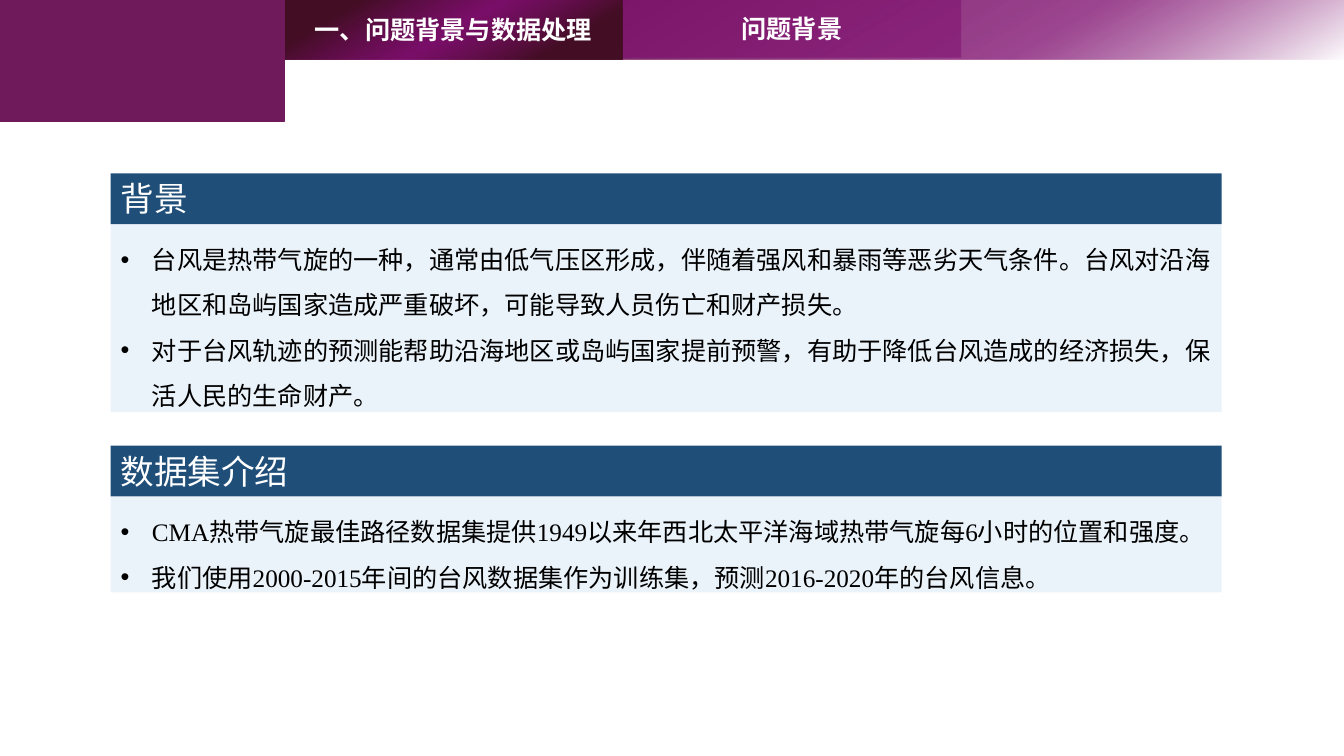
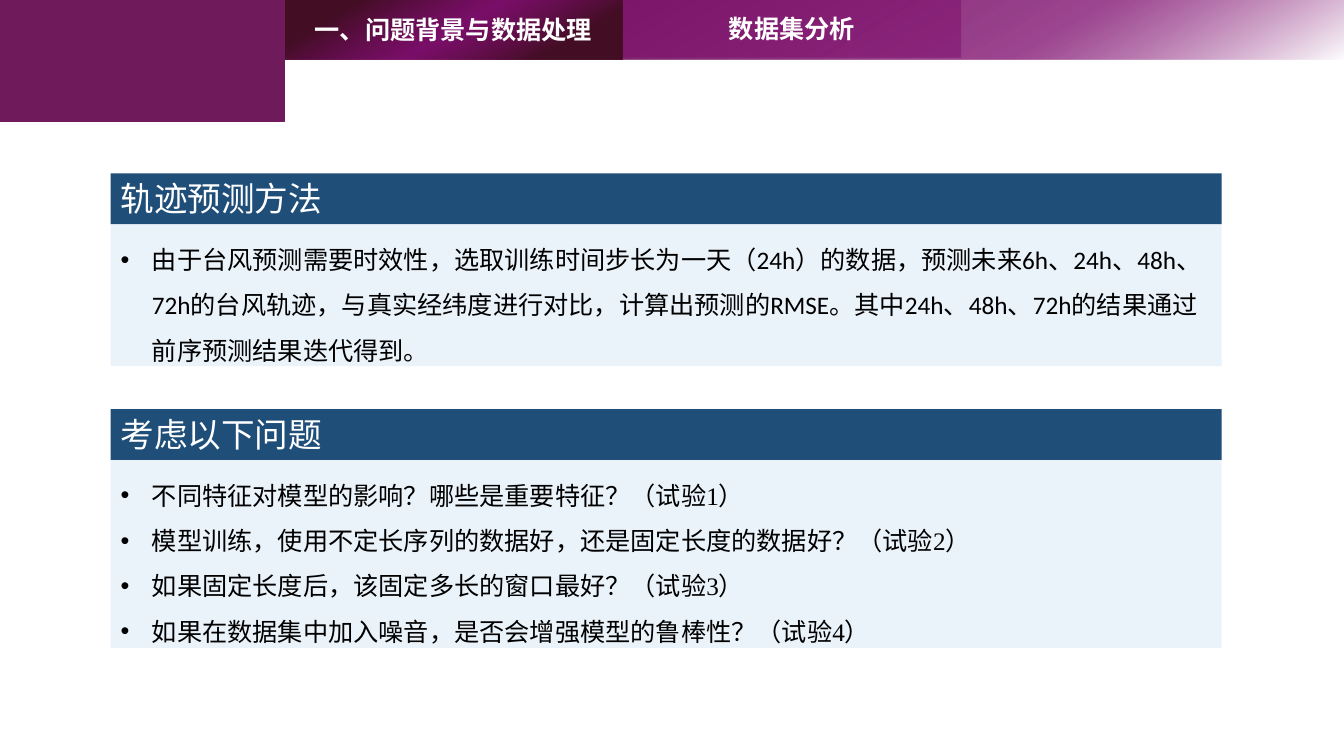
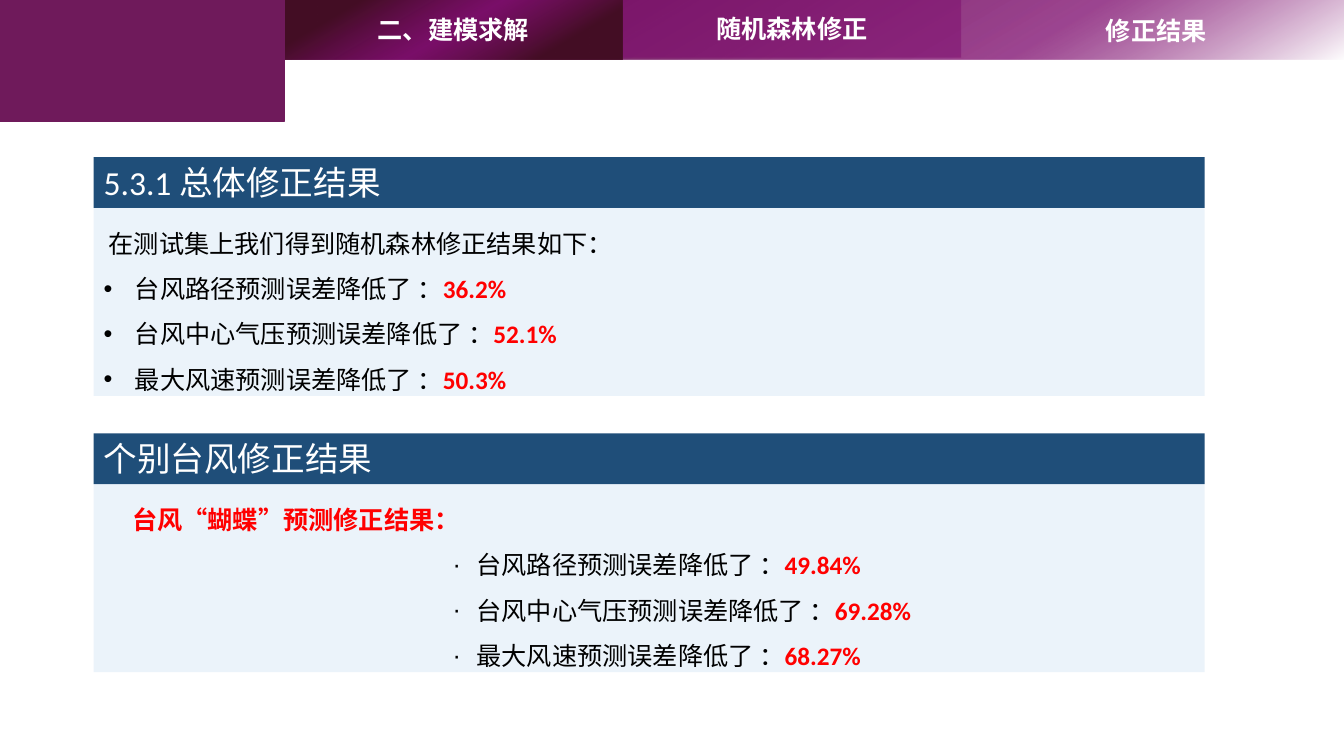
from dataclasses import dataclass
from typing import NamedTuple

from lxml import etree
from pptx import Presentation
from pptx import util as u
from pptx.dml.color import RGBColor
from pptx.enum import shapes, text
from pptx.oxml.ns import qn


@dataclass(frozen=True)
class Theme:
    plum: str = "6F1A5B"
    violet: str = "7E0C6E"
    maroon: str = "440E25"
    navy: str = "1F4E79"
    sky: str = "9DC3E6"
    white: str = "FFFFFF"
    black: str = "000000"
    red: str = "FF0000"
    latin: str = "Calibri"
    serif: str = "Times New Roman"
    chinese: str = "Noto Sans CJK SC"
    heading_size: int = 24
    text_size: int = 18


THEME = Theme()


class Box(NamedTuple):
    left: float
    top: float
    width: float
    height: float

    def lengths(self):
        return [u.Cm(value) for value in self]


class Line(NamedTuple):
    """A body paragraph: runs of (words, colour, bold), its indent and bullet."""
    runs: list
    left: float = 0.79
    hanging: float = 0.79
    bullet: str = "•"


SLIDE_WIDTH, SLIDE_HEIGHT = 33.87, 19.05
CORNER = Box(0, 0, 7.16, 3.07)
STRIP = Box(CORNER.width, 0, SLIDE_WIDTH - CORNER.width, 1.5)
TAB_WIDTH = 8.53
DETAIL = Box(24.43, 0.03, 9.42, 1.45)
BAR_HEIGHT = 1.28
PANEL_WIDTH = 28
LINE_HEIGHT = 1.16


# Fills, shapes and text
def paint(shape, colour, opacity=100):
    shape.fill.solid()
    shape.fill.fore_color.rgb = RGBColor.from_string(colour)
    if opacity < 100:
        set_opacity(shape._element.spPr.find(".//" + qn("a:srgbClr")), opacity)


def set_opacity(colour_element, opacity):
    etree.SubElement(colour_element, qn("a:alpha"), val=str(opacity * 1000))


def paint_gradient(shape, stops):
    shape.fill.gradient()
    shape.fill.gradient_angle = 120
    stop_list = shape._element.spPr.find(".//" + qn("a:gsLst"))
    for stop in list(stop_list):
        stop_list.remove(stop)
    for position, colour, opacity in stops:
        stop = etree.SubElement(stop_list, qn("a:gs"), pos=str(position * 1000))
        colour_element = etree.SubElement(stop, qn("a:srgbClr"), val=colour)
        if opacity < 100:
            set_opacity(colour_element, opacity)


def add_rectangle(parent, box):
    shape = parent.add_shape(shapes.MSO_SHAPE.RECTANGLE, *box.lengths())
    shape.shadow.inherit = False
    shape.line.fill.background()
    return shape


def add_run(paragraph, words, size, font, colour, bold=False):
    run = paragraph.add_run()
    run.text = words
    run.font.size = u.Pt(size)
    run.font.bold = bold
    run.font.color.rgb = RGBColor.from_string(colour)
    run.font.name = font
    properties = run._r.get_or_add_rPr()
    properties.set("lang", "zh-CN")
    etree.SubElement(properties, qn("a:ea"), typeface=THEME.chinese)


def set_tab_text(shape, words):
    frame = shape.text_frame
    frame.word_wrap = True
    frame.auto_size = text.MSO_AUTO_SIZE.NONE
    frame.vertical_anchor = text.MSO_ANCHOR.MIDDLE
    paragraph = frame.paragraphs[0]
    paragraph.alignment = text.PP_ALIGN.CENTER
    add_run(paragraph, words, THEME.text_size, THEME.chinese, THEME.white, True)


def open_frame(shape):
    frame = shape.text_frame
    frame.word_wrap = True
    frame.vertical_anchor = text.MSO_ANCHOR.TOP
    frame.auto_size = text.MSO_AUTO_SIZE.SHAPE_TO_FIT_TEXT
    return frame


def set_indent(paragraph, line):
    properties = paragraph._p.get_or_add_pPr()
    properties.set("marL", str(u.Cm(line.left)))
    properties.set("indent", str(-u.Cm(line.hanging)))
    if line.bullet:
        etree.SubElement(properties, qn("a:buFont"), typeface="Arial")
        etree.SubElement(properties, qn("a:buChar"), char=line.bullet)


# Navigation band across the top
def add_header(slide, section, title_words, detail=None, box=STRIP):
    strip = add_rectangle(slide.shapes, box)
    paint_gradient(strip, [(0, THEME.white, 100), (29, THEME.violet, 76),
                           (82, THEME.plum, 100)])

    # Title tab, raised above the strip
    title = slide.shapes.title
    strip._element.addnext(title._element)
    title_box = Box(box.left + TAB_WIDTH, box.top, TAB_WIDTH, 1.45)
    title.left, title.top, title.width, title.height = title_box.lengths()
    paint(title, THEME.violet, 50)
    set_tab_text(title, title_words)

    # Section tab
    section_tab = add_rectangle(slide.shapes, box._replace(width=TAB_WIDTH))
    paint_gradient(section_tab, [(20, THEME.maroon, 100), (50, THEME.violet, 76),
                                 (82, THEME.maroon, 100)])
    set_tab_text(section_tab, section)

    # Corner block
    corner = add_rectangle(slide.shapes, CORNER)
    paint(corner, THEME.plum)
    corner.line.color.rgb = RGBColor.from_string(THEME.plum)
    corner.line.width = u.Pt(1)

    if detail:
        set_tab_text(slide.shapes.add_textbox(*DETAIL.lengths()), detail)


# Heading bar with a pale body below it
def add_panel(slide, left, top, heading, lines, rows, font=THEME.latin):
    group = slide.shapes.add_group_shape()
    bar = add_rectangle(group.shapes, Box(left, top, PANEL_WIDTH, BAR_HEIGHT))
    paint(bar, THEME.navy)
    paragraph = open_frame(bar).paragraphs[0]
    paragraph.alignment = text.PP_ALIGN.LEFT
    add_run(paragraph, heading, THEME.heading_size, THEME.latin, THEME.white)

    body_box = Box(left, top + BAR_HEIGHT, PANEL_WIDTH, 0.1 + rows * LINE_HEIGHT)
    body = add_rectangle(group.shapes, body_box)
    paint(body, THEME.sky, 20)
    frame = open_frame(body)
    for index, line in enumerate(lines):
        paragraph = frame.add_paragraph() if index else frame.paragraphs[0]
        paragraph.alignment = text.PP_ALIGN.LEFT
        paragraph.line_spacing = 1.5
        set_indent(paragraph, line)
        for words, colour, bold in line.runs:
            add_run(paragraph, words, THEME.text_size, font, colour, bold)


def plain(words):
    return Line([(words, THEME.black, False)])


def reductions(values, **layout):
    measures = ["台风路径", "台风中心气压", "最大风速"]
    return [Line([(f"{measure}预测误差降低了 ：", THEME.black, False),
                  (value, THEME.red, True)], **layout)
            for measure, value in zip(measures, values)]


# Slides
def add_slide(presentation, *header):
    slide = presentation.slides.add_slide(presentation.slide_layouts[5])
    add_header(slide, *header)
    return slide


def add_background_slide(presentation, left=2.79):
    slide = add_slide(presentation, "一、问题背景与数据处理", "问题背景")
    add_panel(slide, left, 4.37, "背景", [
        plain("台风是热带气旋的一种，通常由低气压区形成，伴随着强风和暴雨等恶劣天气条件。"
              "台风对沿海地区和岛屿国家造成严重破坏，可能导致人员伤亡和财产损失。"),
        plain("对于台风轨迹的预测能帮助沿海地区或岛屿国家提前预警，"
              "有助于降低台风造成的经济损失，保活人民的生命财产。"),
    ], 4, THEME.serif)
    add_panel(slide, left, 11.23, "数据集介绍", [
        plain("CMA热带气旋最佳路径数据集提供1949以来年西北太平洋海域热带气旋每6小时的位置和强度。"),
        plain("我们使用2000-2015年间的台风数据集作为训练集，预测2016-2020年的台风信息。"),
    ], 2, THEME.serif)


def add_dataset_slide(presentation, left=2.79):
    slide = add_slide(presentation, "一、问题背景与数据处理", "数据集分析")
    add_panel(slide, left, 4.37, "轨迹预测方法", [
        plain("由于台风预测需要时效性，选取训练时间步长为一天（24h）的数据，"
              "预测未来6h、24h、48h、72h的台风轨迹，与真实经纬度进行对比，"
              "计算出预测的RMSE。其中24h、48h、72h的结果通过前序预测结果迭代得到。"),
    ], 3)
    questions = [
        "不同特征对模型的影响？哪些是重要特征？",
        "模型训练，使用不定长序列的数据好，还是固定长度的数据好？",
        "如果固定长度后，该固定多长的窗口最好？",
        "如果在数据集中加入噪音，是否会增强模型的鲁棒性？",
    ]
    add_panel(slide, left, 10.31, "考虑以下问题",
              [plain(f"{question}（试验{number}）")
               for number, question in enumerate(questions, 1)], 4, THEME.serif)


def add_results_slide(presentation, left=2.36):
    slide = add_slide(presentation, "二、建模求解", "随机森林修正", "修正结果")
    overall = Line([("在测试集上我们得到随机森林修正结果如下：", THEME.black, False)],
                   0.13, 0, "")
    add_panel(slide, left, 3.96, "5.3.1 总体修正结果",
              [overall] + reductions(["36.2%", "52.1%", "50.3%"]), 4)
    typhoon = Line([("台风“蝴蝶”预测修正结果：", THEME.red, True)], 0.72, 0, "")
    add_panel(slide, left, 10.92, "个别台风修正结果",
              [typhoon] + reductions(["49.84%", "69.28%", "68.27%"],
                                     left=9.4, hanging=0.6, bullet="·"), 4)


def main():
    presentation = Presentation()
    presentation.slide_width = u.Cm(SLIDE_WIDTH)
    presentation.slide_height = u.Cm(SLIDE_HEIGHT)
    add_background_slide(presentation)
    add_dataset_slide(presentation)
    add_results_slide(presentation)
    presentation.save("out.pptx")


if __name__ == "__main__":
    main()
